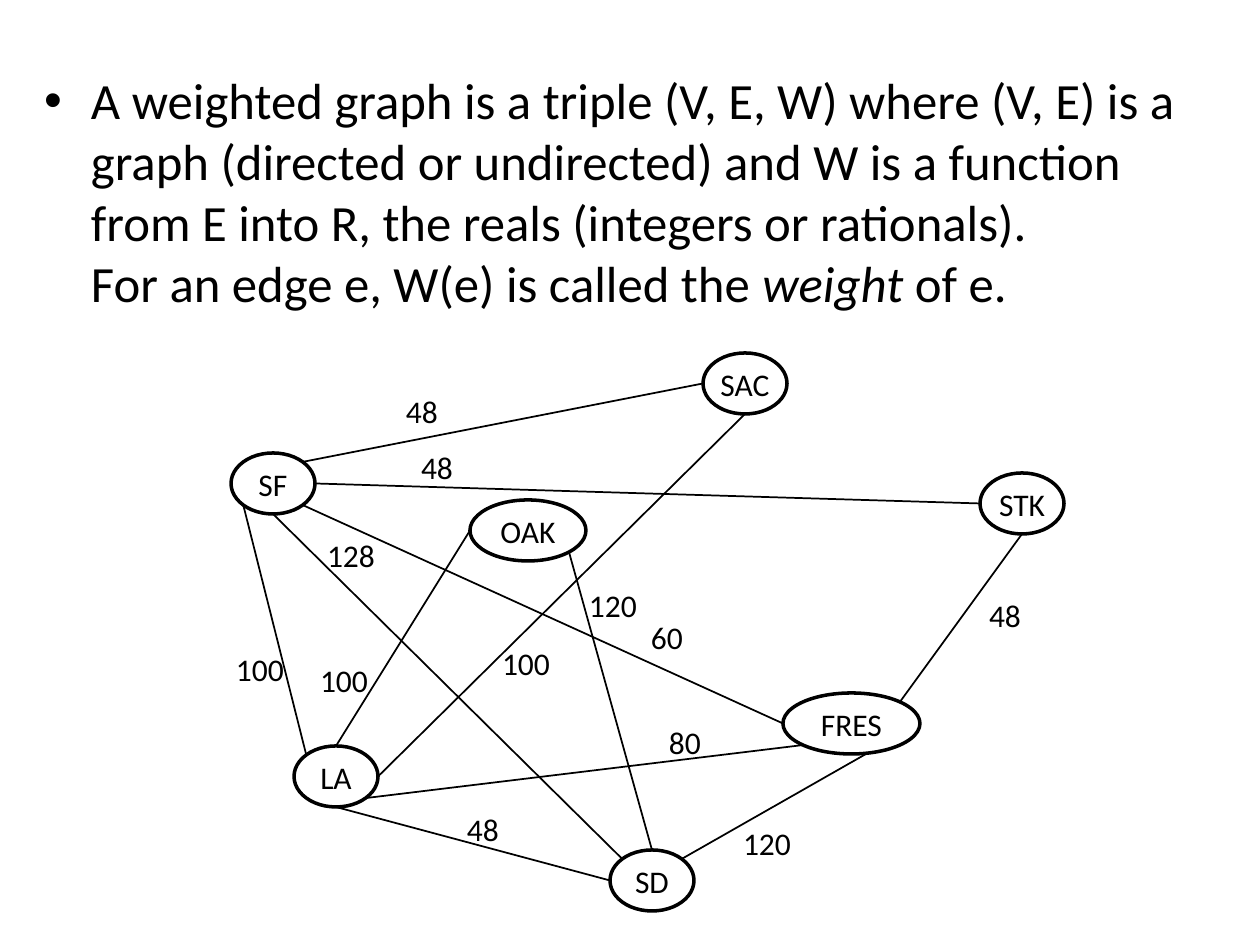
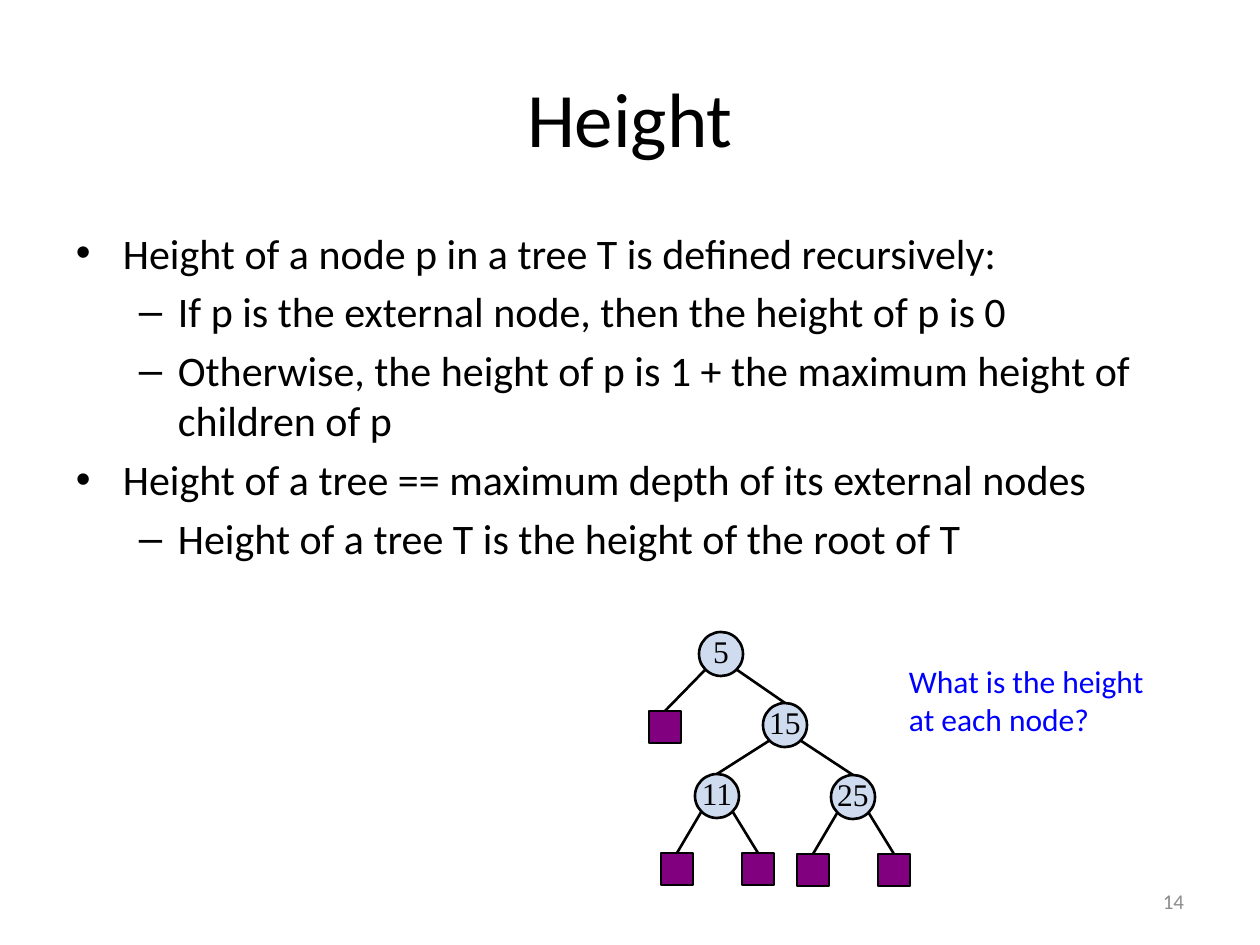
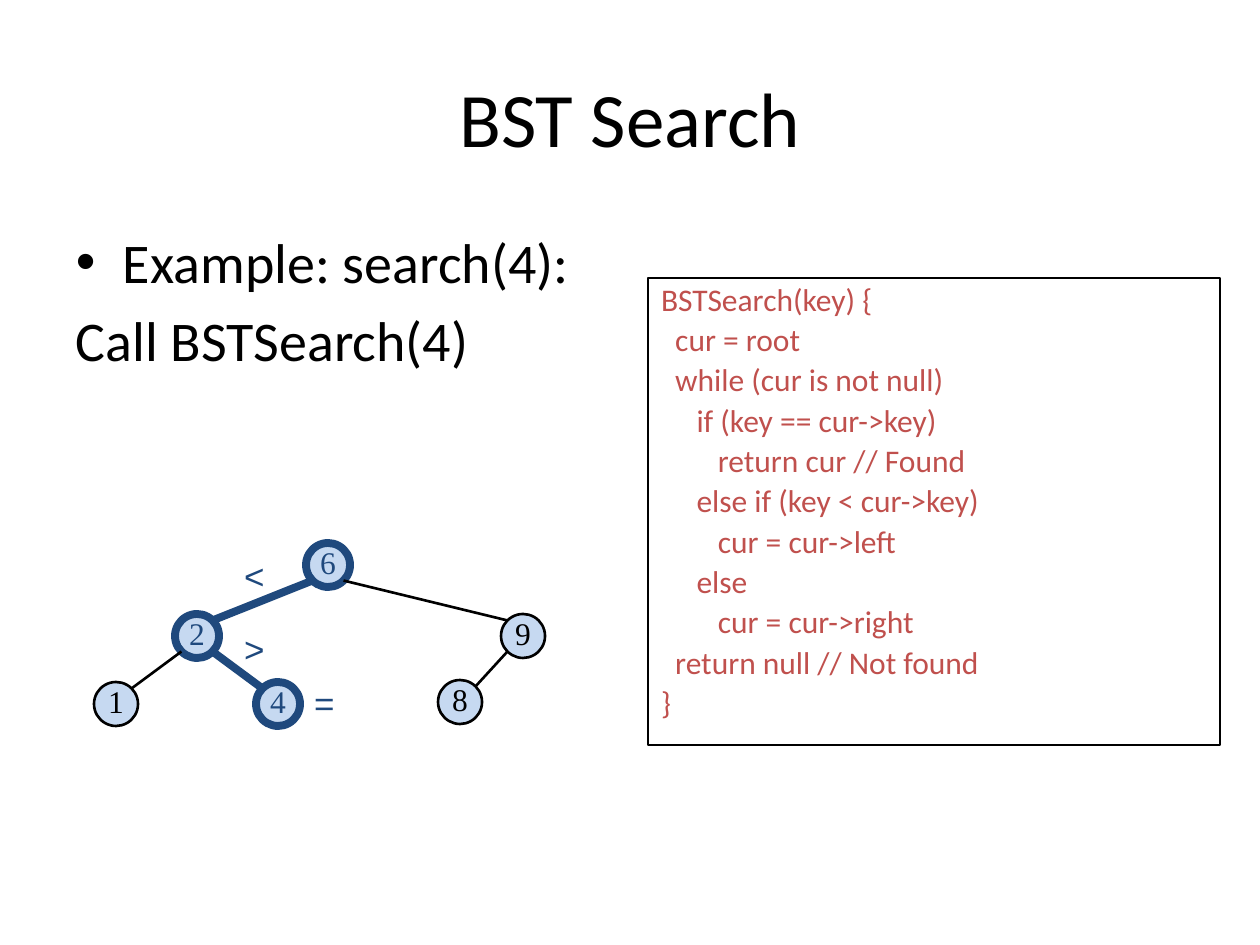
import math
from lxml import etree
from pptx import Presentation
from pptx import util as u
from pptx.dml.color import RGBColor
from pptx.enum import shapes, text
from pptx.oxml.ns import qn

PX = u.Inches(1) / 126
BLACK, BLUE, NAVY = "000000", "0000FF", "1F497D"
RED, GREY, PURPLE = "C0504D", "8C8C8C", "800080"
PALE, LIGHT = "CFDCF0", "C6D9F1"
OVAL, RECT = shapes.MSO_SHAPE.OVAL, shapes.MSO_SHAPE.RECTANGLE
LEFT, CENTER, RIGHT = text.PP_ALIGN.LEFT, text.PP_ALIGN.CENTER, text.PP_ALIGN.RIGHT
TOP, MIDDLE = text.MSO_ANCHOR.TOP, text.MSO_ANCHOR.MIDDLE
INDENTS = {"•": (47, -47), "–": (102, -39)}
TITLE_BOX = (63, 38, 1134, 158)
TITLE = dict(size=44, align=CENTER, anchor=MIDDLE)
GRAPH_NODE = dict(line=BLACK, width=2, align=CENTER, anchor=MIDDLE,
                  insets=(2, 2, 2, 2), wrap=False)
TREE_NODE = dict(font="Times New Roman", align=CENTER, anchor=MIDDLE,
                 insets=(0, 0, 0, 6), wrap=False)


def put(s, kind, box, paras=(), size=18, color=BLACK, font="Calibri", align=LEFT,
        anchor=TOP, fill=None, line=None, width=1.5, insets=(13, 6, 13, 6),
        wrap=True, spacing=None):
    """Add a shape, or a text box if kind is None.

    A paragraph is a string or a (bullet, string) pair; *stars* mark italics.
    """
    box = [round(v * PX) for v in box]
    if kind is None:
        sp = s.shapes.add_textbox(*box)
    else:
        sp = s.shapes.add_shape(kind, *box)
        sp.shadow.inherit = False
        if fill:
            sp.fill.solid()
            sp.fill.fore_color.rgb = RGBColor.from_string(fill)
        else:
            sp.fill.background()
        sp.line.color.rgb = RGBColor.from_string(line)
        sp.line.width = u.Pt(width)
    tf = sp.text_frame
    tf.word_wrap, tf.vertical_anchor = wrap, anchor
    tf.margin_left, tf.margin_top, tf.margin_right, tf.margin_bottom = [
        round(v * PX) for v in insets]
    for i, para in enumerate(paras):
        bullet, words = (None, para) if isinstance(para, str) else para
        p = tf.add_paragraph() if i else tf.paragraphs[0]
        if bullet:
            margin, indent = INDENTS[bullet]
            pPr = p._p.get_or_add_pPr()
            pPr.set("marL", str(round(margin * PX)))
            pPr.set("indent", str(round(indent * PX)))
            etree.SubElement(pPr, qn("a:buFont")).set("typeface", "Arial")
            etree.SubElement(pPr, qn("a:buChar")).set("char", bullet)
        p.alignment = align
        if spacing:
            p.line_spacing = spacing
        if i:
            p.space_before = u.Pt(size * 0.2)
        for j, piece in enumerate(words.split("*")):
            for k, part in enumerate(piece.split("\n")):
                if k:
                    p.add_line_break()
                r = p.add_run()
                r.text = part
                r.font.size, r.font.name = u.Pt(size), font
                r.font.color.rgb = RGBColor.from_string(color)
                r.font.italic = j % 2 == 1
    return sp


def link(s, a, turn_a, b, turn_b, color=BLACK, width=1.5):
    """Join two shapes; a turn counts eighths anticlockwise from the top."""
    ends = []
    for sp, turn in ((a, turn_a), (b, turn_b)):
        angle = math.radians(45 * turn)
        ends += [round(sp.left + sp.width / 2 * (1 - math.sin(angle))),
                 round(sp.top + sp.height / 2 * (1 - math.cos(angle)))]
    c = s.shapes.add_connector(shapes.MSO_CONNECTOR.STRAIGHT, *ends)
    if turn_a == 0:
        c.begin_connect(a, 0)
    if turn_b == 0:
        c.end_connect(b, 0)
    c.line.color.rgb = RGBColor.from_string(color)
    c.line.width = u.Pt(width)
    etree.SubElement(c._element.spPr, qn("a:effectLst"))


prs = Presentation()
prs.slide_width, prs.slide_height = u.Inches(10), u.Inches(7.5)
blank = prs.slide_layouts[6]

# Weighted graph
s = prs.slides.add_slide(blank)
put(s, None, (31, 63, 1188, 310), [
    ("•", "A weighted graph is a triple (V, E, W) where (V, E) is a graph (directed or "
          "undirected) and W is a function from E into R, the reals (integers or "
          "rationals).\nFor an edge e, W(e) is called the *weight* of e.")], size=29)

cities = {}
for city, x, y, w in [("SF", 231, 453, 84), ("SAC", 703, 353, 84), ("STK", 980, 473, 84),
                      ("OAK", 470, 500, 116), ("FRES", 783, 693, 137),
                      ("LA", 294, 746, 84), ("SD", 610, 850, 84)]:
    cities[city] = put(s, OVAL, (x, y, w, 61), [city], **GRAPH_NODE)

for a, turn_a, b, turn_b in [
        ("SF", 7, "SAC", 2), ("SF", 6, "STK", 2), ("SF", 5, "FRES", 2),
        ("SF", 3, "LA", 1), ("SF", 4, "SD", 1), ("LA", 0, "OAK", 2),
        ("SD", 0, "OAK", 5), ("LA", 6, "SAC", 4), ("FRES", 7, "STK", 4),
        ("LA", 5, "FRES", 3), ("SD", 7, "FRES", 4.3), ("LA", 4, "SD", 2)]:
    link(s, cities[a], turn_a, cities[b], turn_b, width=1)

for weight, x, y in [("48", 393, 386), ("48", 408, 442), ("48", 976, 590),
                     ("60", 638, 612), ("128", 314, 530), ("100", 307, 655),
                     ("100", 223, 644), ("120", 730, 818), ("80", 656, 717),
                     ("100", 489, 638), ("120", 576, 580), ("48", 454, 804)]:
    put(s, None, (x, y, 95, 50), [weight])

# Height of a tree
s = prs.slides.add_slide(blank)
put(s, None, TITLE_BOX, ["Height"], **TITLE)
put(s, None, (63, 221, 1134, 687), [
    ("•", "Height of a node p in a tree T is defined recursively:"),
    ("–", "If p is the external node, then the height of p is 0"),
    ("–", "Otherwise, the height of p is 1 + the maximum height of children of p"),
    ("•", "Height of a tree == maximum depth of its external nodes"),
    ("–", "Height of a tree T is the height of the root of T")], size=24)
put(s, None, (903, 876, 294, 50), ["14"], size=12, color=GREY, align=RIGHT, anchor=MIDDLE)

nodes = {}
for key, x, y in [("5", 699, 632), ("15", 763, 703), ("11", 695, 774), ("25", 831, 775)]:
    nodes[key] = put(s, OVAL, (x, y, 44, 44), [key], fill=PALE, line=BLACK, **TREE_NODE)
for parent, turn, child in [("5", 5, "15"), ("15", 3, "11"), ("15", 5, "25")]:
    link(s, nodes[parent], turn, nodes[child], 0)
for parent, turn, x, y in [("5", 3, 649, 711), ("11", 3, 661, 853), ("11", 5, 742, 853),
                           ("25", 3, 797, 854), ("25", 5, 878, 854)]:
    leaf = put(s, RECT, (x, y, 32, 32), fill=PURPLE, line=BLACK)
    link(s, nodes[parent], turn, leaf, 0)
put(s, None, (896, 656, 285, 90), ["What is the height at each node?"], color=BLUE)

# Search in a binary search tree
s = prs.slides.add_slide(blank)
put(s, None, TITLE_BOX, ["BST Search"], **TITLE)
put(s, None, (63, 221, 567, 624), [("•", "Example: search(4):"), "Call BSTSearch(4)"], size=32)
code = """BSTSearch(key) {
  cur = root
  while (cur is not null)
     if (key == cur->key)
        return cur // Found
     else if (key < cur->key)
        cur = cur->left
     else
        cur = cur->right
  return null // Not found
}"""
put(s, RECT, (648, 278, 572, 467), code.split("\n"), color=RED, line=BLACK, width=0.75,
    spacing=0.9)

visited = dict(color=NAVY, width=4.5)
plain = dict(color=BLACK, width=1.5)
nodes = {}
for key, x, y, look in [("6", 306, 543, visited), ("9", 501, 614, plain),
                        ("2", 175, 614, visited), ("4", 256, 682, visited),
                        ("1", 94, 682, plain), ("8", 438, 680, plain)]:
    nodes[key] = put(s, OVAL, (x, y, 44, 44), [key], fill=LIGHT, line=look["color"],
                     **look, **TREE_NODE)
for parent, turn, child, look in [("6", 3, "2", visited), ("6", 5, "9", plain),
                                  ("9", 3, "8", plain), ("2", 3, "1", plain),
                                  ("2", 5, "4", visited)]:
    link(s, nodes[parent], turn, nodes[child], 10 - turn if turn == 3 else 1, **look)
for sign, x, y in [("<", 231, 548), (">", 231, 621), ("=", 301, 675)]:
    put(s, None, (x, y, 44, 54), [sign], size=20, color=NAVY, font="Arial",
        align=CENTER, wrap=False)

prs.save("out.pptx")
